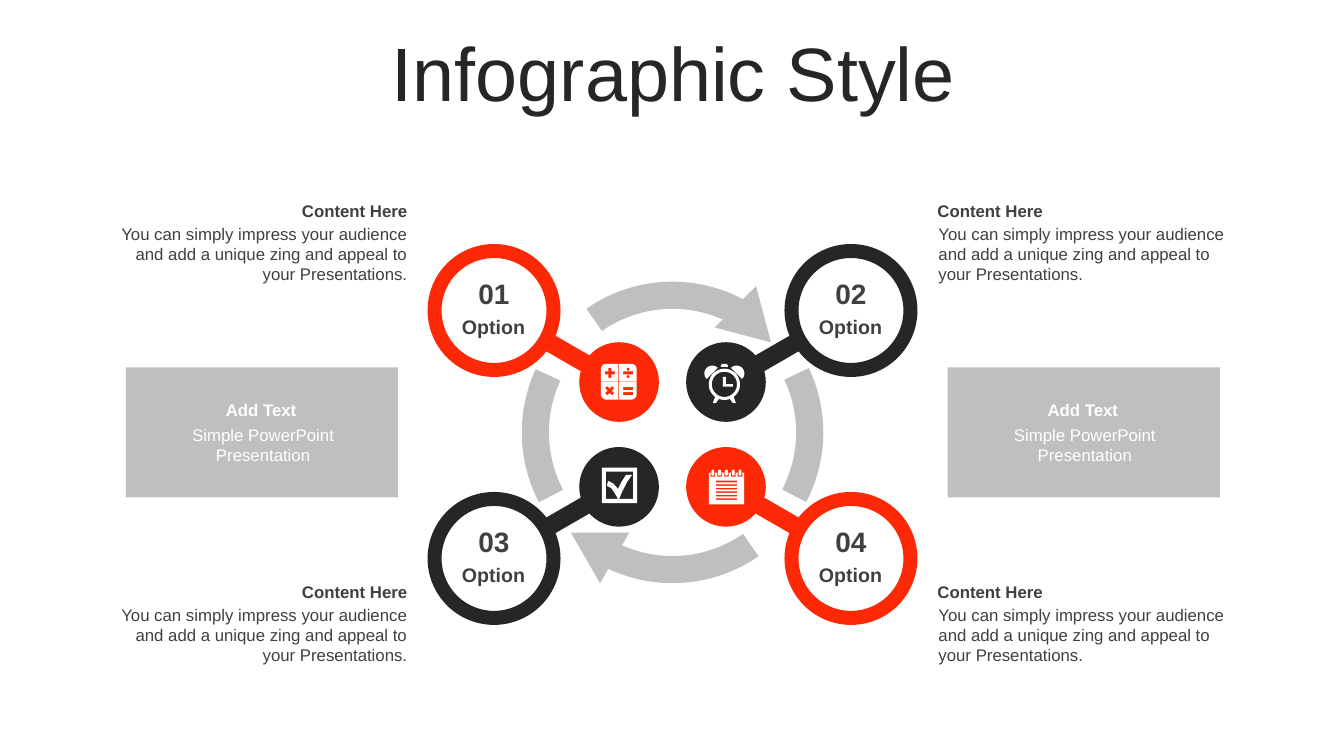
from dataclasses import dataclass
from itertools import product
from math import cos, radians, sin

from pptx import Presentation
from pptx import util as u
from pptx.dml.color import RGBColor
from pptx.enum import shapes, text

SHAPE = shapes.MSO_SHAPE
LEFT, CENTER, RIGHT = text.PP_ALIGN.LEFT, text.PP_ALIGN.CENTER, text.PP_ALIGN.RIGHT
TOP, MIDDLE = text.MSO_ANCHOR.TOP, text.MSO_ANCHOR.MIDDLE


@dataclass(frozen=True)
class Theme:
    font: str = "Arial"
    red: str = "FD2906"
    dark: str = "262626"
    gray: str = "BFBFBF"
    white: str = "FFFFFF"
    ink: str = "404040"
    title: int = 54
    number: int = 20
    option: int = 14
    body: int = 12
    ring: int = 10


# Outlines for the icons, in hundredths of an inch
def arc(x, y, radius, start=0, sweep=360, steps=36):
    angles = [radians(start + sweep * i / steps) for i in range(steps + 1)]
    return [(x + radius * cos(a), y + radius * sin(a)) for a in angles]


def tile(x, y, width, height, radius=0):
    right, bottom = x + width, y + height
    if not radius:
        return [(x, y), (right, y), (right, bottom), (x, bottom)]
    corners = [(right - radius, bottom - radius), (x + radius, bottom - radius),
               (x + radius, y + radius), (right - radius, y + radius)]
    return [point for i, (cx, cy) in enumerate(corners)
            for point in arc(cx, cy, radius, 90 * i, 90, 6)]


def cross(x, y, arm, half, turn=0):
    points = []
    for quarter in range(4):
        angle = radians(turn + 90 * quarter)
        for dx, dy in [(arm, -half), (arm, half), (half, half)]:
            points.append((x + dx * cos(angle) - dy * sin(angle),
                           y + dx * sin(angle) + dy * cos(angle)))
    return points


def mirror(points, width):
    return [(width - x, y) for x, y in points]


def calculator():
    seams = [tile(17.3, 0, 0.7, 35.5), tile(0, 17.3, 17.3, 0.7), tile(18, 17.3, 17.5, 0.7)]
    bars = [tile(22, y, 10, 3) for y in (7.5, 23, 28)]
    dots = [arc(27, y, 1.5) for y in (5.3, 12.7)]
    signs = [cross(9, 9, 5, 1.5), cross(8.7, 26.7, 5, 1.5, 45)]
    return [tile(0, 0, 35.5, 35.5, 5.5), *seams, *bars, *dots, *signs]


def alarm_clock():
    bell = arc(7.5, 9.5, 7.8, 135, 180)
    leg = [(10.3, 32.8), (14, 34.8), (11, 39), (8, 39)]
    hands = [(18, 13), (21, 13), (21, 20), (28, 20), (28, 22.5), (18, 22.5)]
    button = [(16, 3), (16, 1.5), (17.5, 0), (21.5, 0), (23, 1.5), (23, 3)]
    face = [arc(19.5, 20.3, 15.5), arc(19.5, 20.3, 12.5)]
    return [*face, hands, button, bell, mirror(bell, 39), leg, mirror(leg, 39)]


def checkbox():
    tick = [(5, 18), (6, 13), (11, 15.5), (16, 21), (19.5, 14), (24, 7), (30, 7),
            (25, 14), (20, 24), (17, 31), (16, 31), (12, 24), (9, 20)]
    return [tile(0, 0, 35, 35), tile(4, 4, 27, 27), tick]


def notepad():
    centers = [4 + 6.75 * i for i in range(5)]
    notches = [tile(x - 2.3, 3, 4.6, 4) for x in centers]
    rings = [tile(x - 1.4, 0, 2.8, 6, 1.4) for x in centers]
    rules = [tile(7, 11 + 3.5 * i, 21, 1.6) for i in range(6)]
    return [tile(0, 3, 35, 31.5), *notches, *rings, *rules]


class Canvas:
    def __init__(self, deck, theme):
        self.theme = theme
        self.page = deck.slides.add_slide(deck.slide_layouts[5])

    def assign(self, target, values):
        for name, value in values.items():
            setattr(target, name, value)

    def fill_text(self, box, words, size, color, align, anchor, bold=False):
        self.assign(box.text_frame, {"word_wrap": True, "vertical_anchor": anchor,
                                     "auto_size": text.MSO_AUTO_SIZE.NONE})
        para = box.text_frame.paragraphs[0]
        para.alignment = align
        span = para.add_run()
        span.text = words
        self.assign(span.font, {"name": self.theme.font, "size": u.Pt(size), "bold": bold})
        span.font.color.rgb = RGBColor.from_string(color)
        return para

    def title(self, words, left, top, width, height):
        box = self.page.shapes.title
        self.assign(box, {"left": u.Inches(left), "top": u.Inches(top),
                          "width": u.Inches(width), "height": u.Inches(height)})
        para = self.fill_text(box, words, self.theme.title, self.theme.dark, CENTER, MIDDLE)
        para.line_spacing = 0.9

    def label(self, words, left, top, width, height, size, color,
              align=CENTER, anchor=TOP, bold=False):
        box = self.page.shapes.add_textbox(*map(u.Inches, (left, top, width, height)))
        self.fill_text(box, words, size, color, align, anchor, bold)

    def paint(self, shape, fill, line=None):
        shape.shadow.inherit = False
        shape.fill.solid()
        shape.fill.fore_color.rgb = RGBColor.from_string(fill)
        if line:
            shape.line.color.rgb = RGBColor.from_string(line)
            shape.line.width = u.Pt(self.theme.ring)
        else:
            shape.line.fill.background()

    def shape(self, kind, x, y, width, height, fill, line=None, turn=0, adjust=()):
        """Draw a preset shape centred on x, y."""
        corner = (x - width / 2, y - height / 2, width, height)
        shape = self.page.shapes.add_shape(kind, *map(u.Inches, corner))
        shape.rotation = turn
        for i, value in enumerate(adjust):
            shape.adjustments[i] = value
        self.paint(shape, fill, line)

    def icon(self, outlines, left, top):
        placed = [[(u.Inches(left + x / 100), u.Inches(top + y / 100)) for x, y in outline]
                  for outline in outlines]
        builder = self.page.shapes.build_freeform(*placed[0][0])
        for i, points in enumerate(placed):
            if i:
                builder.move_to(*points[0])
            builder.add_line_segments(points[1:], close=True)
        self.paint(builder.convert_to_shape(), self.theme.white)


def main():
    deck = Presentation()
    deck.slide_width, deck.slide_height = u.Inches(13.33), u.Inches(7.5)
    theme = Theme()
    canvas = Canvas(deck, theme)
    canvas.title("Infographic Style", 0.35, 0.37, 12.66, 0.79)

    # Captions in the four corners
    for (left, align), top in product([(1.07, RIGHT), (9.2, LEFT)], [1.94, 5.72]):
        canvas.label("Content Here", left, top, 3.07, 0.3, theme.body, theme.ink,
                     align, MIDDLE, True)
        canvas.label("You can simply impress your audience and add a unique zing "
                     "and appeal to your Presentations.",
                     left + 0.01, top + 0.23, 3.06, 0.71, theme.body, theme.ink, align)

    # Side panels
    for left in (1.25, 9.4):
        canvas.shape(SHAPE.RECTANGLE, left + 1.35, 4.29, 2.7, 1.29, theme.gray)
        canvas.label("Add Text", left + 0.48, 3.92, 1.72, 0.3, theme.body, theme.white, bold=True)
        canvas.label("Simple PowerPoint Presentation", left + 0.5, 4.16, 1.72, 0.5,
                     theme.body, theme.white)

    # Options, mirrored about the middle of the cycle
    middle_x, middle_y = 6.67, 4.31
    options = [("01", -1, -1, theme.red), ("02", 1, -1, theme.dark),
               ("03", -1, 1, theme.dark), ("04", 1, 1, theme.red)]
    for number, side, level, color in options:
        x, y = middle_x + 1.77 * side, middle_y + 1.23 * level
        canvas.shape(SHAPE.OVAL, x, y, 1.18, 1.18, theme.white, color)
        canvas.shape(SHAPE.OVAL, middle_x + 0.53 * side, middle_y + 0.52 * level,
                     0.79, 0.79, color)
        canvas.shape(SHAPE.RECTANGLE, middle_x + 1.03 * side, middle_y + 0.8 * level,
                     0.5, 0.18, color, turn=30 * side * level)
        canvas.label("Option", x - 0.55, y, 1.09, 0.34, theme.option, theme.ink, bold=True)
        canvas.label(number, x - 0.35, y - 0.39, 0.7, 0.44, theme.number, theme.ink,
                     anchor=MIDDLE, bold=True)

    # Cycle arcs and arrowheads
    long_arc = (141.11, 183.63, 0.09)
    arcs = [(90, (146.85, 178.5, 0.09)), (270, (145.44, 176.89, 0.09)),
            (0, long_arc), (180, long_arc)]
    for turn, adjust in arcs:
        canvas.shape(SHAPE.BLOCK_ARC, middle_x, 4.29, 2.99, 2.99, theme.gray,
                     turn=turn, adjust=adjust)
    for x, y, turn in [(7.47, 3.22, 135), (5.88, 5.41, 300)]:
        canvas.shape(SHAPE.ISOSCELES_TRIANGLE, x, y, 0.58, 0.5, theme.gray, turn=turn)

    # Icons in the hubs
    canvas.icon(calculator(), 5.96, 3.61)
    canvas.icon(alarm_clock(), 6.99, 3.61)
    canvas.icon(checkbox(), 5.97, 4.64)
    canvas.icon(notepad(), 7.03, 4.66)

    deck.save("out.pptx")


if __name__ == "__main__":
    main()
